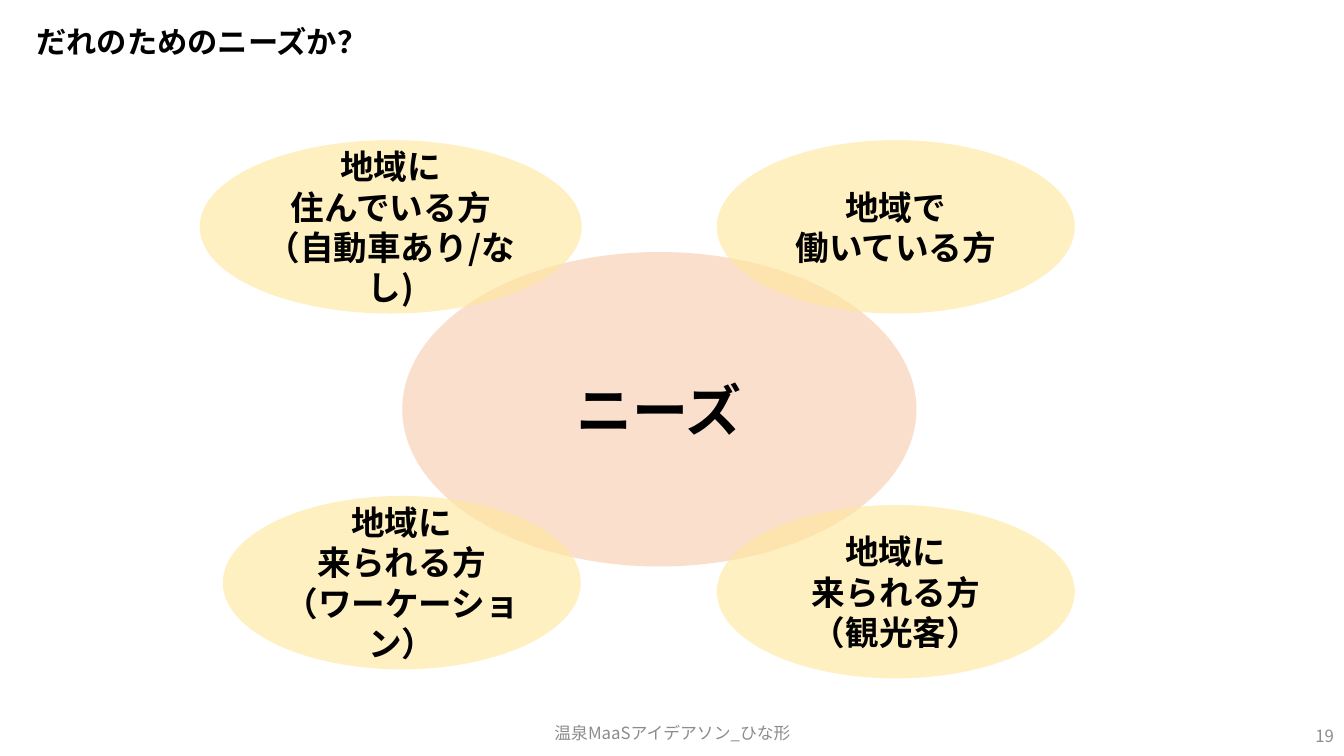
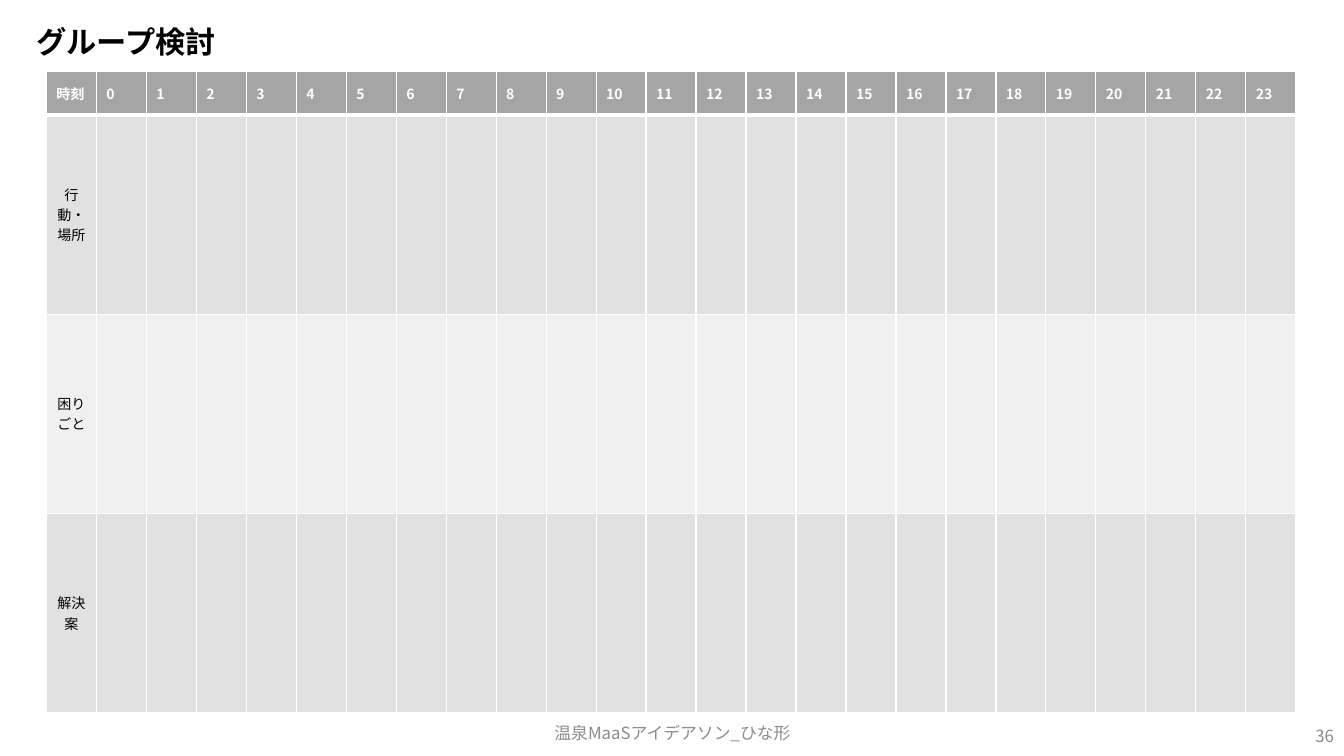
"""Build two workshop slides: an oval map of needs and an hourly planning grid."""
from dataclasses import dataclass

from lxml import etree
from pptx import Presentation
from pptx.dml.color import RGBColor
from pptx.enum import shapes, text
from pptx.oxml import ns
from pptx.util import Inches, Pt


@dataclass(frozen=True)
class Theme:
    """Hold the colours, type sizes and line widths of the deck."""
    font: str = "Noto Sans CJK JP"
    ink: str = "000000"
    white: str = "FFFFFF"
    gray: str = "8C8C8C"
    peach: str = "F8CBAD"
    yellow: str = "FFE699"
    head: str = "A5A5A5"
    bands: tuple = ("E1E1E1", "F0F0F0")
    alpha: int = 60
    title: float = 21.6
    foot: float = 12
    core: float = 40
    group: float = 24
    cell: float = 10
    thin: float = 1
    thick: float = 3


T = Theme()
LEFT, MID, RIGHT = text.PP_ALIGN.LEFT, text.PP_ALIGN.CENTER, text.PP_ALIGN.RIGHT


def place(box):
    """Turn a box in inches into lengths."""
    return [Inches(side) for side in box]


def write(frame, lines, size, color, bold=False, align=LEFT):
    """Write one styled run per paragraph, centred vertically."""
    frame.word_wrap = True
    frame.vertical_anchor = text.MSO_ANCHOR.MIDDLE
    for index, line in enumerate(lines):
        para = frame.add_paragraph() if index else frame.paragraphs[0]
        para.alignment = align
        run = para.add_run()
        run.text = line
        font = run.font
        font.size, font.bold, font.name = Pt(size), bold, T.font
        font.color.rgb = RGBColor.from_string(color)
        etree.SubElement(font._element, ns.qn("a:ea"), typeface=T.font)


def label(slide, box, words, align):
    """Add a small gray footer text."""
    frame = slide.shapes.add_textbox(*place(box)).text_frame
    write(frame, [words], T.foot, T.gray, align=align)


def start(deck, title, number):
    """Add a slide with its title, footer and page number."""
    slide = deck.slides.add_slide(deck.slide_layouts[5])
    head = slide.shapes.title
    head.left, head.top, head.width, head.height = place((0.26, 0.23, 12.81, 0.4))
    write(head.text_frame, [title], T.title, T.ink, True)
    head.text_frame.auto_size = text.MSO_AUTO_SIZE.NONE
    head.text_frame.paragraphs[0].line_spacing = 0.9
    label(slide, (4.42, 7.07, 4.5, 0.4), "温泉MaaSアイデアソン_ひな形", MID)
    label(slide, (10.33, 7.1, 3, 0.4), number, RIGHT)
    return slide


def oval(slide, box, lines, size, color):
    """Add a translucent oval with centred bold text."""
    shape = slide.shapes.add_shape(shapes.MSO_SHAPE.OVAL, *place(box))
    shape.shadow.inherit = False
    shape.line.fill.background()
    shape.fill.solid()
    shape.fill.fore_color.rgb = RGBColor.from_string(color)
    tint = shape._element.spPr.find(".//" + ns.qn("a:srgbClr"))
    etree.SubElement(tint, ns.qn("a:alpha"), val=str(T.alpha * 1000))
    frame = shape.text_frame
    frame.margin_left = frame.margin_right = frame.margin_top = frame.margin_bottom = 0
    write(frame, lines, size, T.ink, True, MID)


def needs(slide, box):
    """Draw the central need and the four groups around it."""
    left, top, width, height = box
    tall, wide = 1.72, 3.55
    far, low = left + width - wide, top + height - tall
    oval(slide, (left + 2.01, top + 1.11, 5.1, 3.12), ["ニーズ"], T.core, T.peach)
    groups = (
        (left, top, 3.79, ["地域に", "住んでいる方", "（自動車あり/なし)"]),
        (far, top, wide, ["地域で", "働いている方"]),
        (far, low, wide, ["地域に", "来られる方", "（観光客）"]),
        (left + 0.23, low - 0.09, wide, ["地域に", "来られる方", "（ワーケーション）"]),
    )
    for x, y, span, lines in groups:
        oval(slide, (x, y, span, tall), lines, T.group, T.yellow)


def dress(cell, fill, top, bottom):
    """Give a cell white borders and a plain fill."""
    props = cell._tc.get_or_add_tcPr()
    for side, width in (("L", T.thin), ("R", T.thin), ("T", top), ("B", bottom)):
        line = etree.SubElement(props, ns.qn("a:ln" + side), w=str(Pt(width)))
        paint = etree.SubElement(line, ns.qn("a:solidFill"))
        etree.SubElement(paint, ns.qn("a:srgbClr"), val=T.white)
    cell.fill.solid()
    cell.fill.fore_color.rgb = RGBColor.from_string(fill)


def grid(slide, box, names):
    """Draw a day table with one column per hour and one row per name."""
    width, height = box[2:]
    heads = ["時刻", *map(str, range(24))]
    table = slide.shapes.add_table(len(names) + 1, len(heads), *place(box)).table
    table.horz_banding = False
    first = 0.43
    for col in table.columns:
        col.width = Inches(width / len(heads))
    for index, row in enumerate(table.rows):
        row.height = Inches((height - first) / len(names) if index else first)
        fill = T.bands[(index - 1) % 2] if index else T.head
        top = T.thick if index == 1 else T.thin
        bottom = T.thin if index else T.thick
        for cell in row.cells:
            dress(cell, fill, top, bottom)
    for cell, head in zip(table.rows[0].cells, heads):
        cell.vertical_anchor = text.MSO_ANCHOR.MIDDLE
        write(cell.text_frame, [head], T.cell, T.white, True)
    for index, name in enumerate(names, 1):
        cell = table.cell(index, 0)
        cell.vertical_anchor = text.MSO_ANCHOR.MIDDLE
        cell._tc.tcPr.set("vert", "eaVert")
        write(cell.text_frame, [name], T.cell, T.ink, align=MID)


def main():
    """Build and save the deck."""
    deck = Presentation()
    deck.slide_width, deck.slide_height = Inches(13.33), Inches(7.5)
    needs(start(deck, "だれのためのニーズか？", "19"), (1.98, 1.39, 8.68, 5.34))
    names = ["行動・場所", "困りごと", "解決案"]
    grid(start(deck, "グループ検討", "36"), (0.46, 0.71, 12.4, 6.36), names)
    deck.save("out.pptx")


if __name__ == "__main__":
    main()
